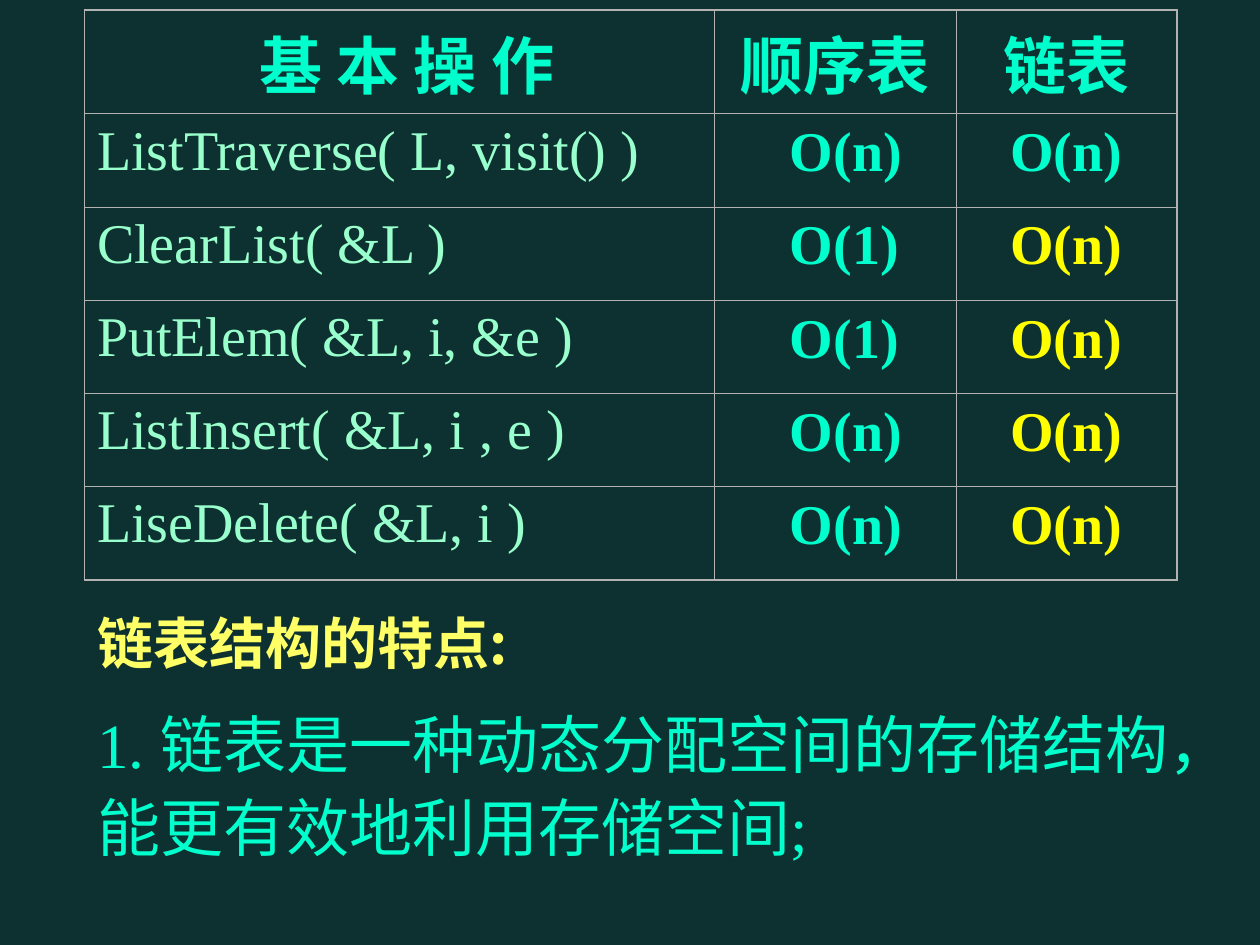
import pptx
import pptx.util
import pptx.dml.color
import pptx.enum.text
import pptx.oxml

HEADERS = [" 基 本 操 作", "顺序表", "链表"]
OPERATIONS = [
    ("ListTraverse( L, visit() )", "O(n)", "O(n)"),
    ("ClearList( &L )", "O(1)", "O(n)"),
    ("PutElem( &L, i, &e )", "O(1)", "O(n)"),
    ("ListInsert( &L, i , e )", "O(n)", "O(n)"),
    ("LiseDelete( &L, i )", "O(n)", "O(n)"),
]
HEADING = "链表结构的特点:"
FEATURE = "1. 链表是一种动态分配空间的存储结构，能更有效地利用存储空间;"

SERIF, SANS = "Times New Roman", "Noto Sans CJK SC"
BACKGROUND, BORDER = "0C3130", "B2B2B2"
MINT, PALE_MINT, YELLOW, PALE_YELLOW = "00FFCC", "99FFCC", "FFFF00", "FFFF66"

LEFT, TOP = 0.67, 0.08
COLUMNS = [5, 1.92, 1.75]
ROW = 0.74
COST_LEFTS = [6.17, 7.92]
COST_SIZE = (1.17, 0.64)
COST_DROP = 0.05
OUTER, INNER = 1.08, 0.45


def color(value):
    return pptx.dml.color.RGBColor.from_string(value)


def inches(*values):
    return [pptx.util.Inches(value) for value in values]


def write(frame, text, size, fill, bold=False, name=SERIF, align="LEFT"):
    frame.word_wrap = True
    frame.vertical_anchor = pptx.enum.text.MSO_ANCHOR.TOP
    paragraph = frame.paragraphs[0]
    paragraph.text = text
    paragraph.alignment = getattr(pptx.enum.text.PP_ALIGN, align)
    paragraph.space_before = pptx.util.Pt(0)
    font = paragraph.font
    font.size, font.bold, font.name = pptx.util.Pt(size), bold, name
    font.color.rgb = color(fill)
    return paragraph


def fill_placeholder(placeholder, box, *text_format, **options):
    placeholder.left, placeholder.top, placeholder.width, placeholder.height = inches(*box)
    frame = placeholder.text_frame
    frame.auto_size = pptx.enum.text.MSO_AUTO_SIZE.NONE
    return write(frame, *text_format, **options)


def set_borders(cell, row, column):
    last_row, last_column = len(OPERATIONS), len(COLUMNS) - 1
    edges = {"L": column == 0, "R": column == last_column, "T": row == 0, "B": row == last_row}
    properties = cell._tc.get_or_add_tcPr()
    for side, is_outer in edges.items():
        width = pptx.util.Pt(OUTER if is_outer else INNER)
        properties.append(pptx.oxml.parse_xml(
            f'<a:ln{side} xmlns:a="http://schemas.openxmlformats.org/drawingml/2006/main" w="{width}">'
            f'<a:solidFill><a:srgbClr val="{BORDER}"/></a:solidFill></a:ln{side}>'))


def add_operations_table(slide):
    rows = len(OPERATIONS) + 1
    box = inches(LEFT, TOP, sum(COLUMNS), ROW * rows)
    table = slide.shapes.add_table(rows, len(COLUMNS), *box).table
    table.first_row = table.horz_banding = False
    for column, width in zip(table.columns, COLUMNS):
        column.width = pptx.util.Inches(width)
    for row in range(rows):
        table.rows[row].height = pptx.util.Inches(ROW)
        for column in range(len(COLUMNS)):
            cell = table.cell(row, column)
            set_borders(cell, row, column)
            cell.fill.background()
    for column, header in enumerate(HEADERS):
        write(table.cell(0, column).text_frame, header, 36, MINT, True, align="CENTER")
    for row, operation in enumerate(OPERATIONS, 1):
        write(table.cell(row, 0).text_frame, operation[0], 32, PALE_MINT)


def add_costs(slide):
    for row, (_, *costs) in enumerate(OPERATIONS, 1):
        for left, cost in zip(COST_LEFTS, costs):
            is_slower = cost != costs[0] or (left == COST_LEFTS[1] and row > 1)
            fill = YELLOW if is_slower and left == COST_LEFTS[1] else MINT
            top = TOP + ROW * row + COST_DROP
            box = slide.shapes.add_textbox(*inches(left, top, *COST_SIZE))
            write(box.text_frame, cost, 32, fill, True)


def main():
    presentation = pptx.Presentation()
    presentation.slide_width, presentation.slide_height = inches(10, 7.5)
    slide = presentation.slides.add_slide(presentation.slide_layouts[1])
    slide.background.fill.solid()
    slide.background.fill.fore_color.rgb = color(BACKGROUND)

    add_operations_table(slide)
    add_costs(slide)
    fill_placeholder(slide.shapes.title, (LEFT, 4.78, 3.67, 0.64),
                     HEADING, 32, PALE_YELLOW, True, name=SANS)
    feature = fill_placeholder(slide.placeholders[1], (LEFT, 5.49, 9, 1.42), FEATURE, 36, MINT)
    feature.line_spacing = 1.1
    properties = feature._p.get_or_add_pPr()
    properties.set("marL", "0")
    properties.set("indent", "0")
    bullet = pptx.oxml.parse_xml(
        '<a:buNone xmlns:a="http://schemas.openxmlformats.org/drawingml/2006/main"/>')
    properties.insert_element_before(bullet, "a:tabLst", "a:defRPr", "a:extLst")

    presentation.save("out.pptx")


if __name__ == "__main__":
    main()
